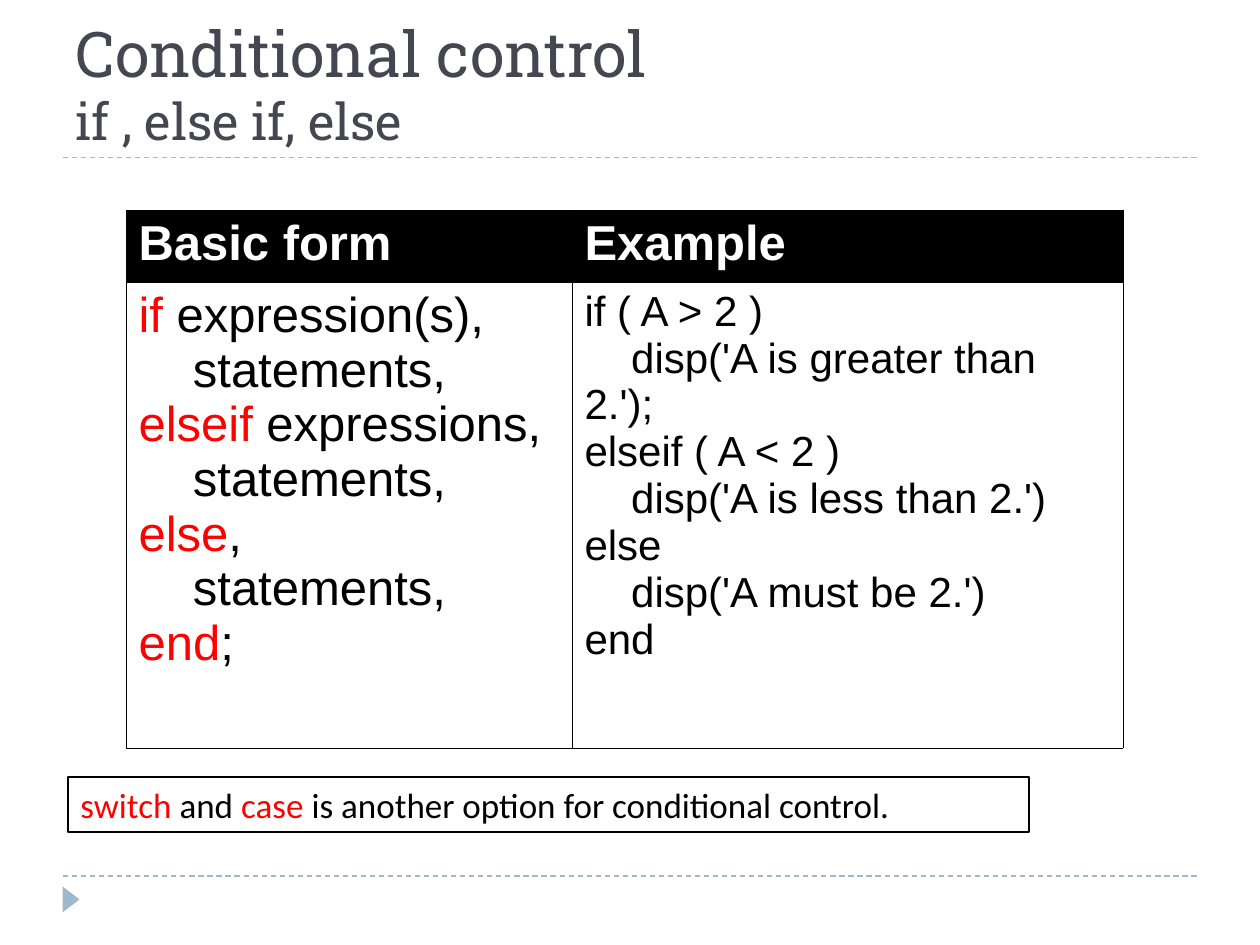
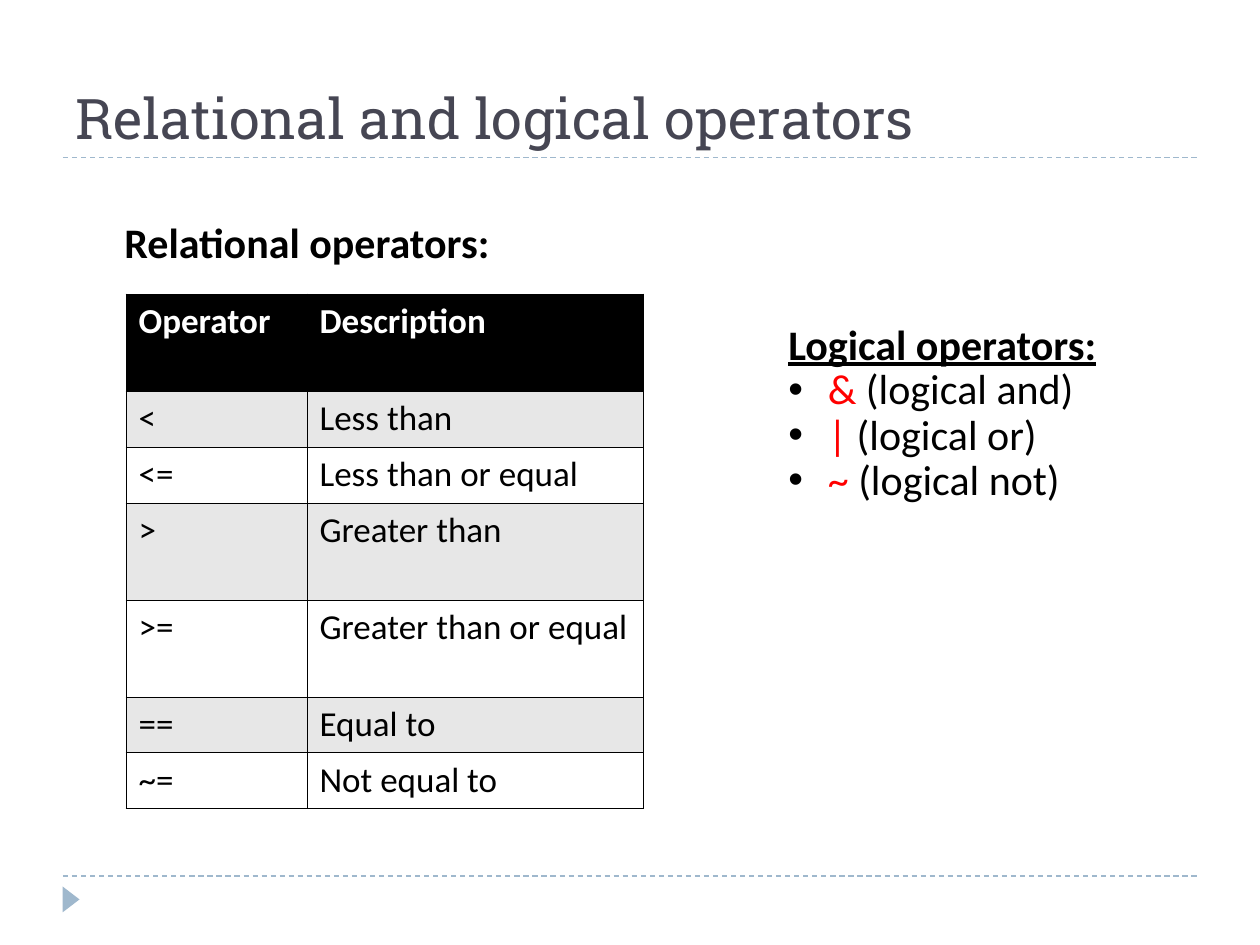
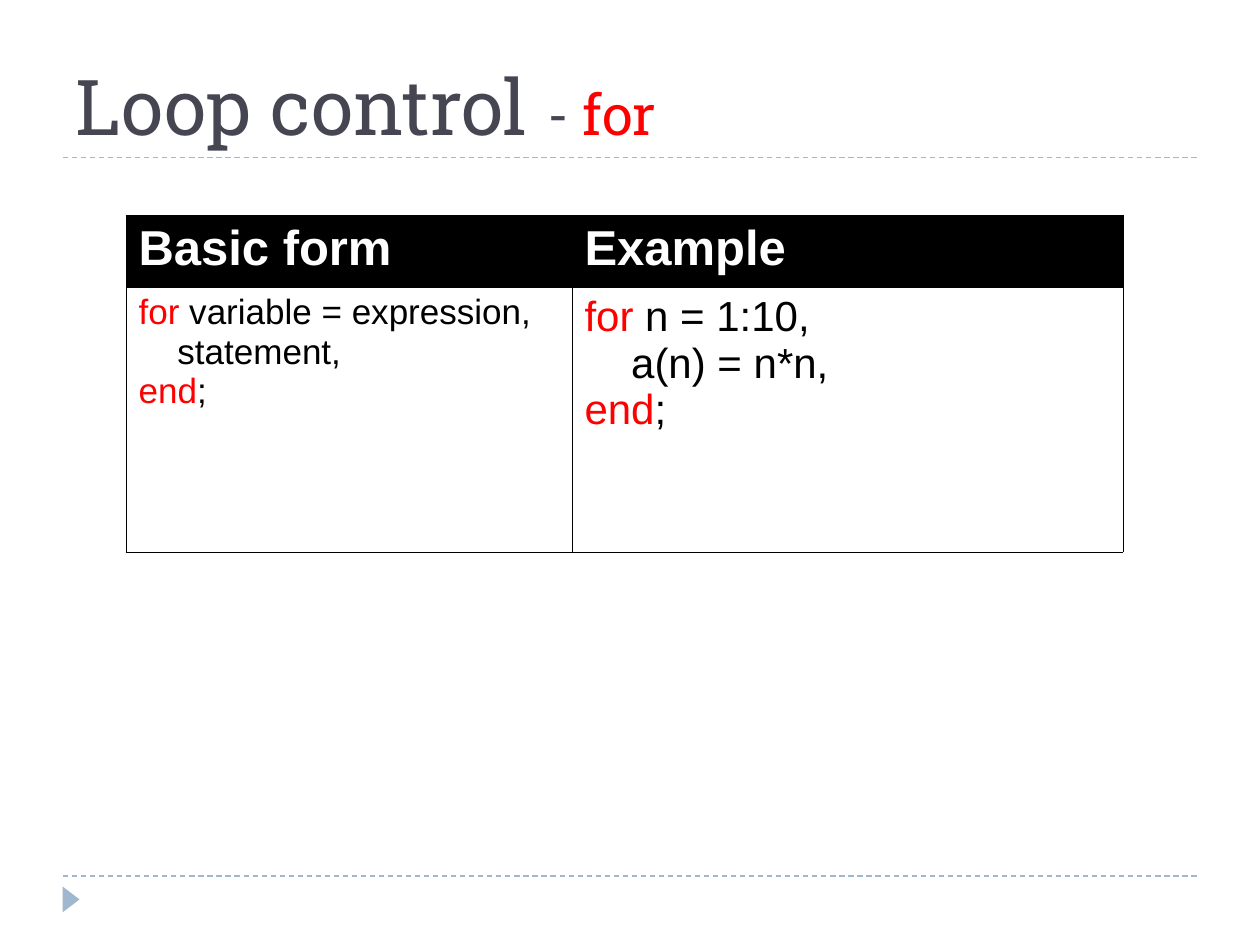
from lxml.etree import SubElement
from pptx import Presentation
from pptx.dml.color import RGBColor
from pptx.enum.dml import MSO_LINE
from pptx.enum.shapes import MSO_CONNECTOR, MSO_SHAPE
from pptx.enum.text import MSO_ANCHOR, MSO_AUTO_SIZE, PP_ALIGN
from pptx.oxml.ns import qn
from pptx.util import Emu, Pt

PX = 914400 // 126
BLACK, WHITE, RED = "000000", "FFFFFF", "FF0000"
INK, BLUE, GREY = "464653", "9FB8CD", "E7E7E7"
SANS, CODE, SLAB = "Calibri", "Arial", "Roboto Slab"
rgb = RGBColor.from_string


def write(frame, lines, size, face, color=BLACK, bold=False):
    """One paragraph a line; a tab indents it, backticks turn red on and off."""
    frame.word_wrap = True
    for i, line in enumerate(lines):
        para = frame.add_paragraph() if i else frame.paragraphs[0]
        para.alignment = PP_ALIGN.LEFT
        font = para.font
        font.name, font.size, font.bold = face, Pt(size), bold
        font.color.rgb = rgb(color)
        if line.startswith("\t"):
            para._p.get_or_add_pPr().set("indent", str(Pt(size * 1.11)))
        for j, part in enumerate(line.strip("\t").split("`")):
            if part:
                run = para.add_run()
                run.text = part
                if j % 2:
                    run.font.color.rgb = rgb(RED)


def grid(slide, left, top, cols, rows, cells):
    """A ruled table; each cell is (fill, lines, size, face, color, bold)."""
    table = slide.shapes.add_table(
        len(rows), len(cols), left * PX, top * PX,
        sum(cols) * PX, sum(rows) * PX).table
    table.horz_banding = False
    for col, width in zip(table.columns, cols):
        col.width = Emu(width * PX)
    for row, height in zip(table.rows, rows):
        row.height = Emu(height * PX)
    for cell, (fill, *text) in zip(table.iter_cells(), cells):
        write(cell.text_frame, *text)
        props = cell._tc.get_or_add_tcPr()
        for side in ("lnL", "lnR", "lnT", "lnB"):
            edge = SubElement(props, qn("a:" + side), w=str(Pt(0.45)))
            solid = SubElement(edge, qn("a:solidFill"))
            SubElement(solid, qn("a:srgbClr"), val=BLACK)
        cell.fill.solid()
        cell.fill.fore_color.rgb = rgb(fill)


deck = Presentation()
deck.slide_width, deck.slide_height = Emu(1260 * PX), Emu(945 * PX)

# Titles (text, size, colour) and the frame that all slides share
titles = [
    [("Conditional control", 36, INK), ("\nif , else if, else", 29, INK)],
    [("Relational and logical operators", 32, INK)],
    [("Loop control ", 44, INK), ("- ", 32, INK), ("for", 32, RED)],
]
for parts in titles:
    slide = deck.slides.add_slide(deck.slide_layouts[5])
    for y in (876, 157.5):
        rule = slide.shapes.add_connector(
            MSO_CONNECTOR.STRAIGHT, 63 * PX, int(y * PX), 1197 * PX, int(y * PX))
        rule.line.color.rgb = rgb(BLUE)
        rule.line.width = Pt(0.74)
        rule.line.dash_style = MSO_LINE.DASH
        SubElement(rule._element.spPr, qn("a:effectLst"))
    mark = slide.shapes.add_shape(
        MSO_SHAPE.ISOSCELES_TRIANGLE, 58 * PX, 891 * PX, 26 * PX, 17 * PX)
    mark.rotation = 90
    mark.shadow.inherit = False
    mark.fill.solid()
    mark.fill.fore_color.rgb = rgb(BLUE)
    mark.line.fill.background()

    title = slide.shapes.title
    title.left, title.top = Emu(63 * PX), Emu(31 * PX)
    title.width, title.height = Emu(1134 * PX), Emu(126 * PX)
    frame = title.text_frame
    frame.auto_size = MSO_AUTO_SIZE.NONE
    frame.vertical_anchor = MSO_ANCHOR.BOTTOM
    para = frame.paragraphs[0]
    para.alignment = PP_ALIGN.LEFT
    para.font.name, para.font.size = SLAB, Pt(parts[0][1])
    for text, size, color in parts:
        if text.startswith("\n"):
            para.add_line_break()
        run = para.add_run()
        run.text = text.strip("\n")
        run.font.size = Pt(size)
        run.font.color.rgb = rgb(color)

cond, ops, loop = deck.slides

# Syntax tables: basic form beside an example
head = [(BLACK, [name], 28, CODE, WHITE, True)
        for name in ("Basic form", "Example")]
forms = [
    (cond, 210, 466, 28,
     ["`if `expression(s),", "\tstatements,", "`elseif `expressions,",
      "\tstatements,", "`else`,", "\tstatements,", "`end`;"],
     ["if ( A > 2 )", "\tdisp('A is greater than 2.');", "elseif ( A < 2 )",
      "\tdisp('A is less than 2.')", "else", "\tdisp('A must be 2.')", "end"]),
    (loop, 215, 265, 20,
     ["`for `variable = expression,", "\tstatement,", "`end`;"],
     ["`for `n = 1:10,", "\ta(n) = n*n,", "`end`;"]),
]
for slide, top, height, size, form, sample in forms:
    grid(slide, 126, top, (446, 551), (72, height),
         head + [(WHITE, form, size, CODE), (WHITE, sample, 24, CODE)])

# Note under the conditional table
note = cond.shapes.add_textbox(68 * PX, 777 * PX, 961 * PX, 55 * PX)
note.line.color.rgb = rgb(BLACK)
note.line.width = Pt(0.74)
write(note.text_frame,
      ["`switch `and `case `is another option for conditional control."], 20, SANS)

# Relational operators
label = ops.shapes.add_textbox(112 * PX, 210 * PX, 467 * PX, 63 * PX)
write(label.text_frame, ["Relational operators:"], 24, SANS, BLACK, True)
pairs = [("Operator", "Description"), ("<", "Less than"),
         ("<=", "Less than or equal"), (">", "Greater than"),
         (">=", "Greater than or equal"), ("==", "Equal to"),
         ("~=", "Not equal to")]
cells = []
for i, pair in enumerate(pairs):
    fill = GREY if i % 2 else WHITE
    look = (fill, BLACK, False) if i else (BLACK, WHITE, True)
    cells += [(look[0], [word], 20, SANS, *look[1:]) for word in pair]
grid(ops, 126, 294, (181, 336), (97, 56, 56, 97, 97, 56, 56), cells)

# Logical operators
logic = ops.shapes.add_textbox(776 * PX, 312 * PX, 403 * PX, 249 * PX)
write(logic.text_frame,
      ["Logical operators:", " `&` (logical and)", " `|` (logical or)",
       " `~` (logical not)"], 24, SANS)
first, *items = logic.text_frame.paragraphs
first.font.bold = first.font.underline = True
for item in items:
    item.line_spacing = 0.9
    props = item._p.get_or_add_pPr()
    props.set("marL", str(30 * PX))
    props.set("indent", str(-30 * PX))
    tint = SubElement(props, qn("a:buClr"))
    SubElement(tint, qn("a:srgbClr"), val=BLACK)
    SubElement(props, qn("a:buFont"), typeface=CODE)
    SubElement(props, qn("a:buChar"), char="•")
    props.append(props.find(qn("a:defRPr")))

deck.save("out.pptx")
